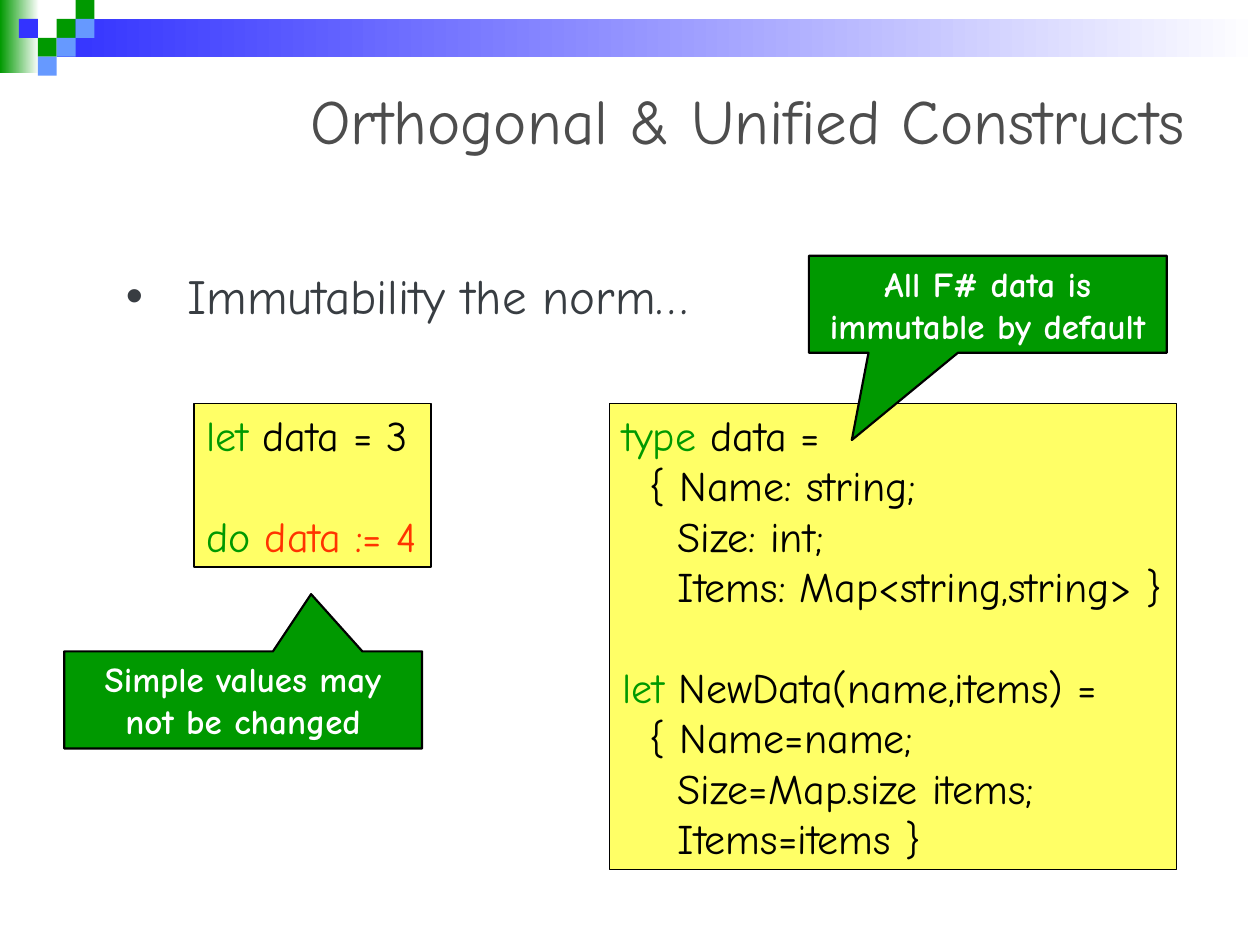
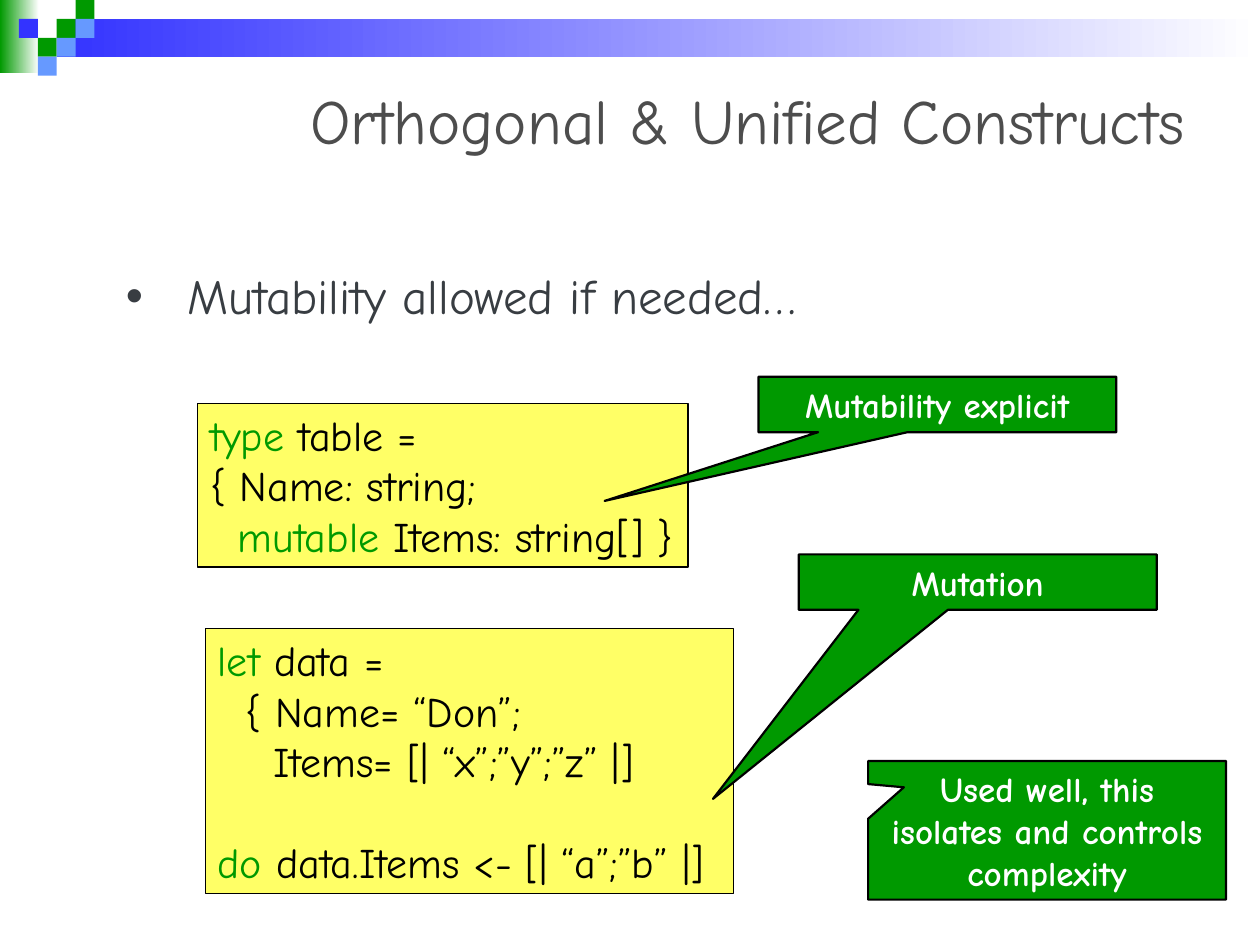
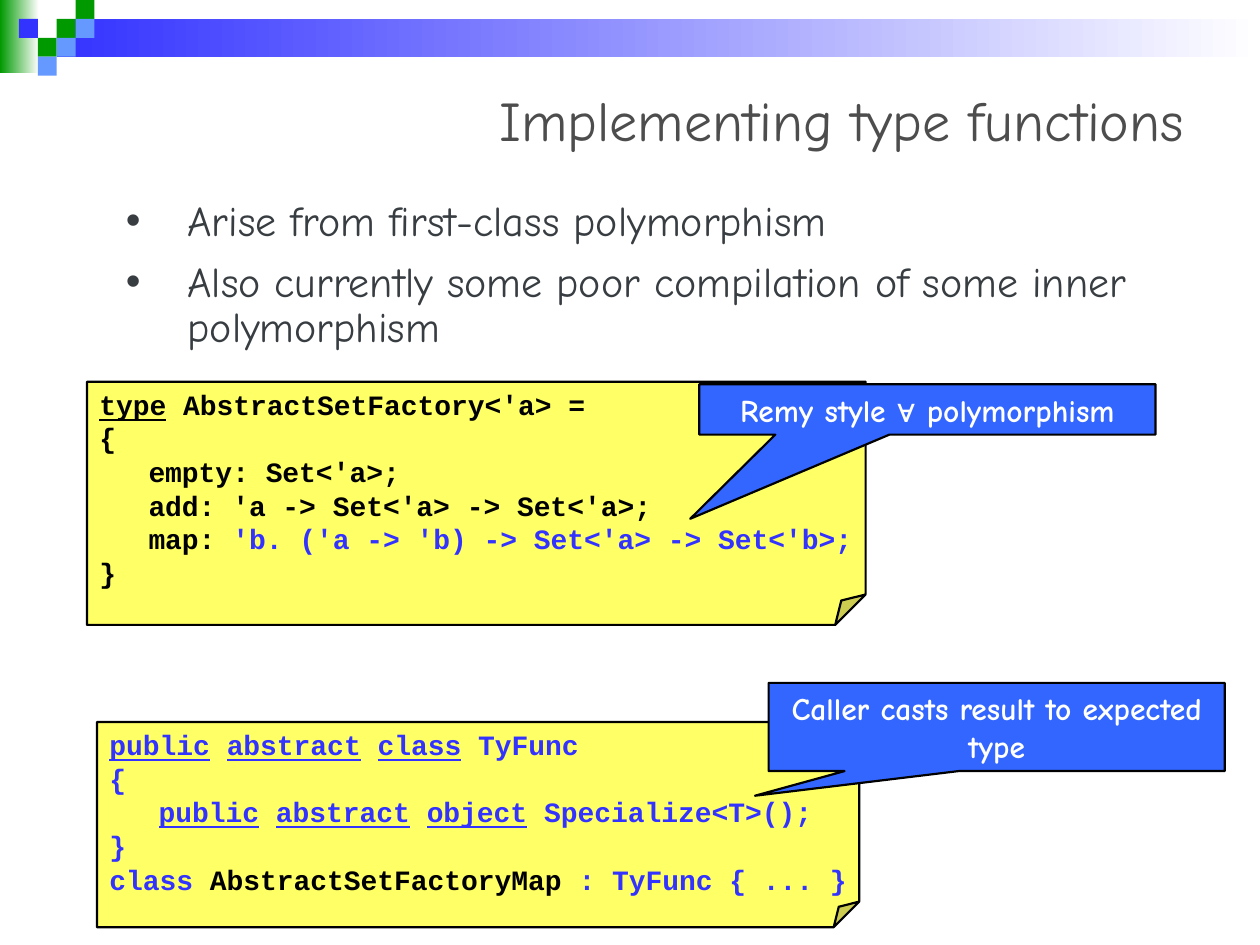
from dataclasses import dataclass

from lxml.etree import SubElement
from pptx import Presentation
from pptx.dml.color import RGBColor
from pptx.enum.shapes import MSO_SHAPE
from pptx.enum.text import MSO_ANCHOR, PP_ALIGN
from pptx.oxml.ns import qn
from pptx.util import Inches, Pt


@dataclass(frozen=True)
class Theme:
    """Colours, fonts and type sizes shared by the deck."""
    white: str = "FFFFFF"
    black: str = "000000"
    green: str = "009900"
    blue: str = "3333FF"
    sky: str = "6699FF"
    royal: str = "3366FF"
    yellow: str = "FFFF66"
    red: str = "FF3300"
    title: str = "4D4D4D"
    body: str = "383D42"
    font: str = "Comic Neue"
    mono: str = "Courier New"
    symbol: str = "Arial"
    title_size: int = 36
    small_title_size: int = 32
    body_size: int = 28
    small_body_size: int = 24
    code_size: int = 24
    mono_size: int = 16
    callout_size: int = 20
    small_callout_size: int = 18


THEME = Theme()
TILE = 0.15
TILES = [
    (3, 1, THEME.green), (4, 0, THEME.green), (4, 1, THEME.sky),
    (2, 2, THEME.green), (1, 1, THEME.blue), (3, 2, THEME.sky),
    (2, 3, THEME.sky),
]
BANDS = [(0, 0, 0.31, 0.58, THEME.green), (0.45, 0.15, 9.55, 0.3, THEME.blue)]
KEYWORD = {"color": THEME.green}
ERROR = {"color": THEME.red}
BLUE = {"color": THEME.blue}
UNDERLINED = {"underline": True}
BLUE_UNDERLINED = {**BLUE, **UNDERLINED}
SYMBOL = {"name": THEME.symbol}
NOTE = {"name": THEME.font, "size": THEME.code_size, "color": THEME.black}
LISTING = {"name": THEME.mono, "size": THEME.mono_size, "color": THEME.black, "bold": True}
NOTE_SPACE = 0.11
LISTING_SPACE = 0.13
BLANK_LINE = 28.8


def plain(text):
    """Return a span without special format."""
    return text, {}


def line(*spans, indent=0, gap=0):
    """Describe a code line: spans, indent in characters, gap above in points."""
    return spans, indent, gap


def style_span(span, values):
    """Apply a dict of format values to a run."""
    for name, value in values.items():
        if name == "color":
            span.font.color.rgb = RGBColor.from_string(value)
        else:
            setattr(span.font, name, Pt(value) if name == "size" else value)


def write(para, spans, base):
    """Fill a paragraph with spans over a base format."""
    for text, values in spans:
        span = para.add_run()
        span.text = text
        style_span(span, {**base, **values})


def set_frame(box, **values):
    """Set wrapping, default anchoring and other frame values."""
    defaults = {"word_wrap": True, "vertical_anchor": MSO_ANCHOR.TOP}
    for name, value in {**defaults, **values}.items():
        setattr(box.text_frame, name, value)
    return box.text_frame


def next_para(frame, index):
    """Return the first paragraph or a new one."""
    return frame.add_paragraph() if index else frame.paragraphs[0]


def set_margin(para, left, first):
    """Set the left margin and first-line indent of a paragraph in inches."""
    properties = para._p.get_or_add_pPr()
    properties.set("marL", str(Inches(left)))
    properties.set("indent", str(Inches(first)))
    return properties


def add_filled(page, kind, place, color, line_width=0):
    """Add a preset shape with a solid fill and an optional black line."""
    shape = page.shapes.add_shape(kind, *map(Inches, place))
    shape.shadow.inherit = False
    shape.fill.solid()
    shape.fill.fore_color.rgb = RGBColor.from_string(color)
    if line_width:
        shape.line.color.rgb = RGBColor.from_string(THEME.black)
        shape.line.width = Pt(line_width)
    else:
        shape.line.fill.background()
    return shape


def add_header(page):
    """Draw the fading bands and the checker tiles."""
    for *place, color in BANDS:
        band = add_filled(page, MSO_SHAPE.RECTANGLE, place, color)
        band.fill.gradient()
        band.fill.gradient_angle = 0
        for stop, shade in zip(band.fill.gradient_stops, (color, THEME.white)):
            stop.color.rgb = RGBColor.from_string(shade)
    for column, row, color in TILES:
        place = (column * TILE, row * TILE, TILE, TILE)
        add_filled(page, MSO_SHAPE.RECTANGLE, place, color)


def add_title(page, text, size):
    """Add the right-aligned title."""
    box = page.shapes.add_textbox(*map(Inches, (0.5, 0.5, 9, 0.89)))
    para = set_frame(box, vertical_anchor=MSO_ANCHOR.MIDDLE).paragraphs[0]
    para.alignment = PP_ALIGN.RIGHT
    write(para, [plain(text)], {"name": THEME.font, "size": size, "color": THEME.title})


def add_bullets(page, texts, size, margin_top):
    """Add the bulleted body text."""
    box = page.shapes.add_textbox(*map(Inches, (0.9, 1.54, 8.27, 4.8)))
    frame = set_frame(box, margin_top=Inches(margin_top))
    for index, text in enumerate(texts):
        para = next_para(frame, index)
        para.line_spacing = 0.9
        para.space_before = Pt(9)
        properties = set_margin(para, 0.49, -0.49)
        color = SubElement(properties, qn("a:buClr"))
        SubElement(color, qn("a:srgbClr"), val=THEME.body)
        SubElement(properties, qn("a:buFont"), typeface=THEME.symbol)
        SubElement(properties, qn("a:buChar"), char="•")
        write(para, [plain(text)], {"name": THEME.font, "size": size, "color": THEME.body})


def write_code(box, lines, base, space, anchor):
    """Write code lines, with indents measured in character widths."""
    frame = set_frame(box, margin_right=0, vertical_anchor=anchor)
    for index, (spans, indent, gap) in enumerate(lines):
        para = next_para(frame, index)
        para.alignment = PP_ALIGN.LEFT
        set_margin(para, indent * space, 0)
        if gap:
            para.space_before = Pt(gap)
        write(para, spans, base)


def add_note(page, place, lines):
    """Add a yellow box of code."""
    box = add_filled(page, MSO_SHAPE.RECTANGLE, place, THEME.yellow, 0.75)
    write_code(box, lines, NOTE, NOTE_SPACE, MSO_ANCHOR.TOP)


def add_listing(page, place, lines):
    """Add a folded sheet of monospaced code."""
    box = add_filled(page, MSO_SHAPE.FOLDED_CORNER, place, THEME.yellow, 1.25)
    guides = next(box._element.iter(qn("a:avLst")))
    SubElement(guides, qn("a:gd"), name="adj", fmla="val 12500")
    write_code(box, lines, LISTING, LISTING_SPACE, MSO_ANCHOR.MIDDLE)


def add_callout(page, place, tip, spans, color=THEME.green, size=THEME.callout_size):
    """Add a callout whose tip is given relative to its size."""
    box = add_filled(page, MSO_SHAPE.RECTANGULAR_CALLOUT, place, color, 1.25)
    for index, value in enumerate(tip):
        box.adjustments[index] = value
    para = set_frame(box, vertical_anchor=MSO_ANCHOR.MIDDLE).paragraphs[0]
    para.alignment = PP_ALIGN.CENTER
    write(para, spans, {"name": THEME.font, "size": size, "color": THEME.white, "bold": True})


def add_page(deck, title, bullets, title_size=THEME.title_size,
             body_size=THEME.body_size, margin_top=0.62):
    """Add a page with header, title and bullets."""
    page = deck.slides.add_slide(deck.slide_layouts[6])
    add_header(page)
    add_title(page, title, title_size)
    add_bullets(page, bullets, body_size, margin_top)
    return page


def build_immutability(deck):
    """Build the page on immutable data."""
    page = add_page(deck, "Orthogonal & Unified Constructs", ["Immutability the norm…"])
    add_note(page, (1.54, 3.2, 1.88, 1.3), [
        line(("let", KEYWORD), plain(" data = 3")),
        line(("do ", KEYWORD), ("data := 4", ERROR), gap=BLANK_LINE),
    ])
    add_callout(page, (0.51, 5.17, 2.84, 0.77), (0.19, -1.09),
                [plain("Simple values may not be changed")])
    add_note(page, (4.84, 3.2, 4.5, 3.7), [
        line(("type", KEYWORD), plain(" data =")),
        line(plain("{ Name: string;"), indent=2),
        line(plain("Size: int;"), indent=4),
        line(plain("Items: Map<string,string> }"), indent=4),
        line(("let", KEYWORD), plain(" NewData(name,items) ="), gap=BLANK_LINE),
        line(plain("{ Name=name;"), indent=2),
        line(plain("Size=Map.size items;"), indent=4),
        line(plain("Items=items }"), indent=4),
    ])
    add_callout(page, (6.42, 2.03, 2.84, 0.77), (-0.38, 1.4),
                [plain("All F# data is immutable by default")])


def build_mutability(deck):
    """Build the page on mutable data."""
    page = add_page(deck, "Orthogonal & Unified Constructs", ["Mutability allowed if needed…"])
    add_note(page, (1.63, 4.99, 4.19, 2.1), [
        line(("let", KEYWORD), plain(" data =")),
        line(plain("{ Name= “Don”;"), indent=2),
        line(plain("Items= [| “x”;”y”;”z” |]"), indent=4),
        line(("do", KEYWORD), plain(" data.Items <- [| “a”;”b” |]"), gap=BLANK_LINE),
    ])
    add_note(page, (1.57, 3.2, 3.89, 1.3), [
        line(("type", KEYWORD), plain(" table =")),
        line(plain("{ Name: string;")),
        line(("mutable", KEYWORD), plain(" Items: string[] }"), indent=2),
    ])
    add_callout(page, (6.02, 2.99, 2.84, 0.44), (-0.93, 1.74), [plain("Mutability explicit")])
    add_callout(page, (6.89, 6.04, 2.84, 1.1), (-0.4, -0.31),
                [plain("Used well, this isolates and controls complexity")])
    add_callout(page, (6.34, 4.4, 2.84, 0.44), (-0.74, 3.91), [plain("Mutation")])


def build_type_functions(deck):
    """Build the page on type functions."""
    page = add_page(deck, "Implementing type functions", [
        "Arise from first-class polymorphism",
        "Also currently some poor compilation of some inner polymorphism",
    ], THEME.small_title_size, THEME.small_body_size, 0.05)
    add_listing(page, (0.69, 3.03, 6.18, 1.93), [
        line(("type", UNDERLINED), plain(" AbstractSetFactory<'a> =")),
        line(plain("{")),
        line(plain("empty: Set<'a>;"), indent=3),
        line(plain("add: 'a -> Set<'a> -> Set<'a>;"), indent=3),
        line(plain("map: "), ("'b. ('a -> 'b) -> Set<'a> -> Set<'b>;", BLUE), indent=3),
        line(plain("}")),
    ])
    modifiers = [("public", BLUE_UNDERLINED), (" ", BLUE),
                 ("abstract", BLUE_UNDERLINED), (" ", BLUE)]
    add_listing(page, (0.77, 5.73, 6.05, 1.63), [
        line(*modifiers, ("class", BLUE_UNDERLINED), (" TyFunc", BLUE)),
        line(("{", BLUE)),
        line(*modifiers, ("object", BLUE_UNDERLINED), (" Specialize<T>();", BLUE), indent=3),
        line(("}", BLUE)),
        line(("class ", BLUE), plain("AbstractSetFactoryMap"), (" : TyFunc { ... }", BLUE)),
    ])
    look = {"color": THEME.royal, "size": THEME.small_callout_size}
    add_callout(page, (5.55, 3.05, 3.62, 0.4), (-0.52, 2.17),
                [plain("Remy style "), ("∀", SYMBOL), plain(" polymorphism")], **look)
    add_callout(page, (6.1, 5.42, 3.62, 0.7), (-0.53, 0.78),
                [plain("Caller casts result to expected type")], **look)


def main():
    """Build and save the deck."""
    deck = Presentation()
    deck.slide_width, deck.slide_height = Inches(10), Inches(7.5)
    build_immutability(deck)
    build_mutability(deck)
    build_type_functions(deck)
    deck.save("out.pptx")


if __name__ == "__main__":
    main()
